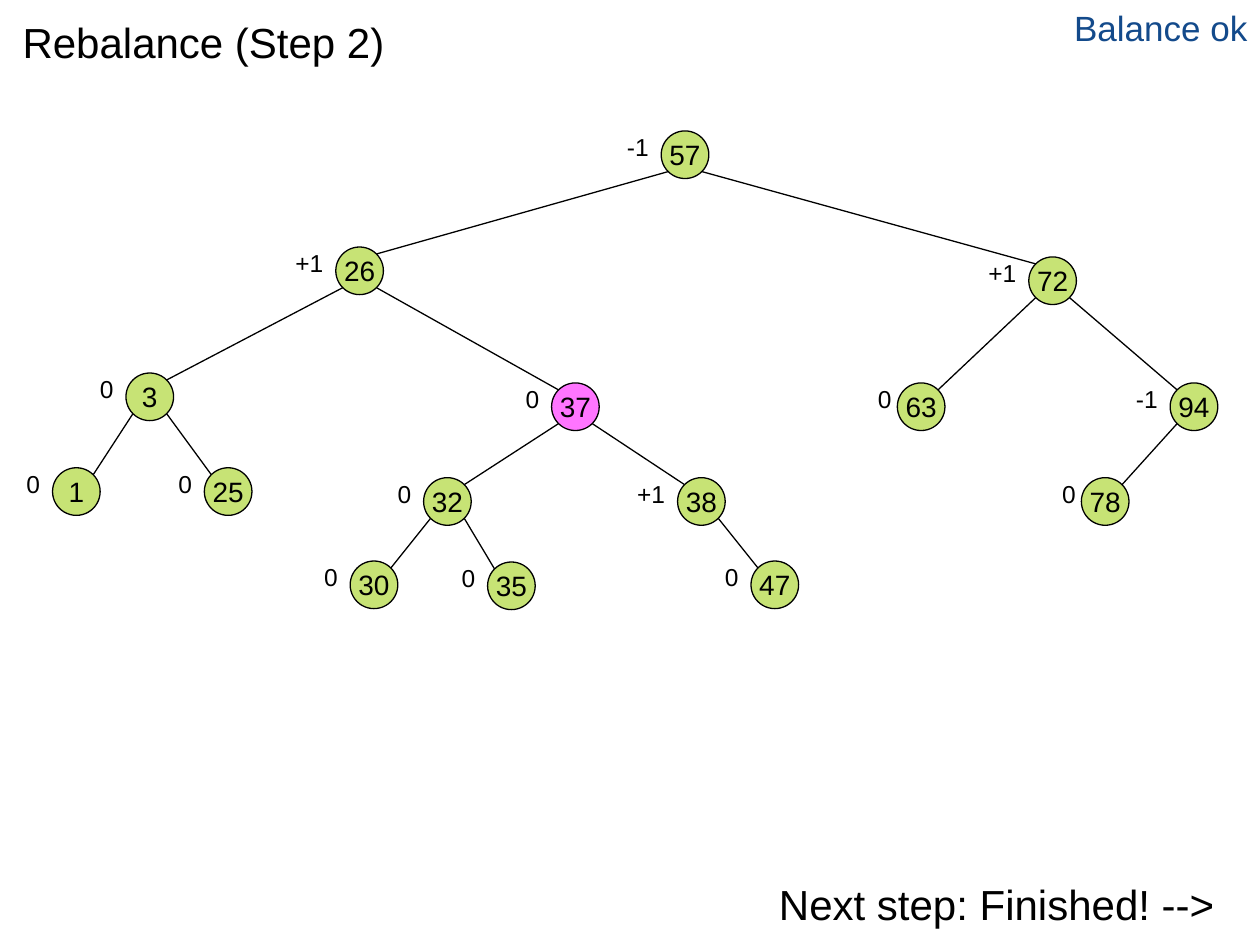
from dataclasses import dataclass
from math import sqrt
from typing import Any

from lxml.etree import SubElement as Sub
from pptx import Presentation
from pptx.dml.color import RGBColor as Rgb
from pptx.enum.shapes import MSO_CONNECTOR as Link, MSO_SHAPE as Kind
from pptx.enum.text import MSO_ANCHOR as Anchor, MSO_AUTO_SIZE as Fit, PP_ALIGN as Align
from pptx.oxml.ns import qn
from pptx.util import Cm, Pt


@dataclass(frozen=True)
class Theme:
    face: str = "Arial"
    ink: str = "000000"
    note: str = "134A8B"
    leaf: str = "99CC00"
    mark: str = "FF00FF"
    alpha: int = 54
    head: int = 24
    side: int = 20
    key: int = 16
    tag: int = 14
    line: float = 0.75


@dataclass(frozen=True)
class Node:
    key: int
    x: float  # centre, cm
    y: float
    tag: str
    wide: float  # width of the balance label, cm
    root: int | None = None  # key of the parent
    hot: bool = False


THEME = Theme()
SIZE = 0.96  # circle diameter, cm
DIAG = SIZE / 2 / sqrt(2)  # centre to a diagonal point on the rim
SLIM = 0.7  # labels narrower than this start at the left

NODES = [
    Node(57, 13.81, 3.12, "-1", 2.97),
    Node(26, 7.25, 5.46, "+1", 2.34, 57),
    Node(72, 21.22, 5.66, "+1", 1.7, 57),
    Node(3, 3.02, 8.0, "0", 1.27, 26),
    Node(37, 11.6, 8.2, "0", 1.6, 26, True),
    Node(63, 18.57, 8.2, "0", 0.64, 72),
    Node(94, 24.07, 8.2, "-1", 1.48, 72),
    Node(1, 1.54, 9.91, "0", 1.27, 3),
    Node(25, 4.6, 9.91, "0", 1.07, 3),
    Node(32, 9.02, 10.11, "0", 1.14, 37),
    Node(38, 14.14, 10.11, "+1", 1.8, 37),
    Node(78, 22.28, 10.11, "0", 0.64, 94),
    Node(30, 7.54, 11.79, "0", 1.16, 32),
    Node(35, 10.31, 11.81, "0", 1.6, 32),
    Node(47, 15.62, 11.79, "0", 1.6, 38),
]


def put(item: Any, form: dict[str, Any]) -> None:
    for name, val in form.items():
        setattr(item, name, val)


def write(item: Any, text: str, size: int, ink: str = THEME.ink,
          align: Align = Align.LEFT, **form: Any) -> None:
    frame = item.text_frame
    put(frame, {"text": text, "word_wrap": True, "auto_size": Fit.NONE,
                "vertical_anchor": Anchor.TOP, **form})
    para = frame.paragraphs[0]
    para.alignment = align
    font = para.runs[0].font
    put(font, {"name": THEME.face, "size": Pt(size)})
    font.color.rgb = Rgb.from_string(ink)


def stroke(item: Any) -> None:
    item.line.color.rgb = Rgb.from_string(THEME.ink)
    item.line.width = Pt(THEME.line)


def edge(shapes: Any, top: Node, low: Node) -> None:
    step = DIAG if low.x > top.x else -DIAG
    link = shapes.add_connector(Link.STRAIGHT, Cm(top.x + step), Cm(top.y + DIAG),
                                Cm(low.x - step), Cm(low.y - DIAG))
    stroke(link)
    Sub(link._element.spPr, qn("a:effectLst"))


def draw(shapes: Any, node: Node) -> None:
    group = shapes.add_group_shape().shapes
    left, top = node.x - SIZE / 2, node.y - SIZE / 2

    # Circle with its key
    disc = group.add_shape(Kind.OVAL, Cm(left), Cm(top), Cm(SIZE), Cm(SIZE))
    disc.shadow.inherit = False
    disc.fill.solid()
    disc.fill.fore_color.rgb = Rgb.from_string(THEME.mark if node.hot else THEME.leaf)
    tint = disc._element.spPr.find(f"{qn('a:solidFill')}/{qn('a:srgbClr')}")
    Sub(tint, qn("a:alpha"), val=str(THEME.alpha * 1000))
    stroke(disc)
    write(disc, str(node.key), THEME.key, align=Align.CENTER,
          word_wrap=False, vertical_anchor=Anchor.MIDDLE)

    # Balance label
    tag = group.add_textbox(Cm(left - node.wide), Cm(top - 0.1), Cm(node.wide), Cm(0.86))
    write(tag, node.tag, THEME.tag,
          align=Align.LEFT if node.wide < SLIM else Align.RIGHT)


def main() -> None:
    deck = Presentation()
    put(deck, {"slide_width": Cm(25.4), "slide_height": Cm(19.05)})
    shapes = deck.slides.add_slide(deck.slide_layouts[5]).shapes

    # Title, next step and status
    title = shapes.title
    put(title, {"left": Cm(0.2), "top": Cm(0.2), "width": Cm(25.2), "height": Cm(1.27)})
    write(title, "Rebalance (Step 2)", THEME.head)
    step = shapes.add_textbox(Cm(0), Cm(17.58), Cm(25.2), Cm(1.27))
    write(step, "Next step: Finished! -->", THEME.head, align=Align.RIGHT,
          margin_right=Cm(0.72))
    state = shapes.add_textbox(Cm(18.62), Cm(0), Cm(6.78), Cm(1.12))
    write(state, "Balance ok", THEME.side, THEME.note, Align.RIGHT)

    # Tree: edges behind, nodes in front
    tree = {node.key: node for node in NODES}
    for node in NODES:
        if node.root is not None:
            edge(shapes, tree[node.root], node)
    for node in NODES:
        draw(shapes, node)

    deck.save("out.pptx")


if __name__ == "__main__":
    main()
